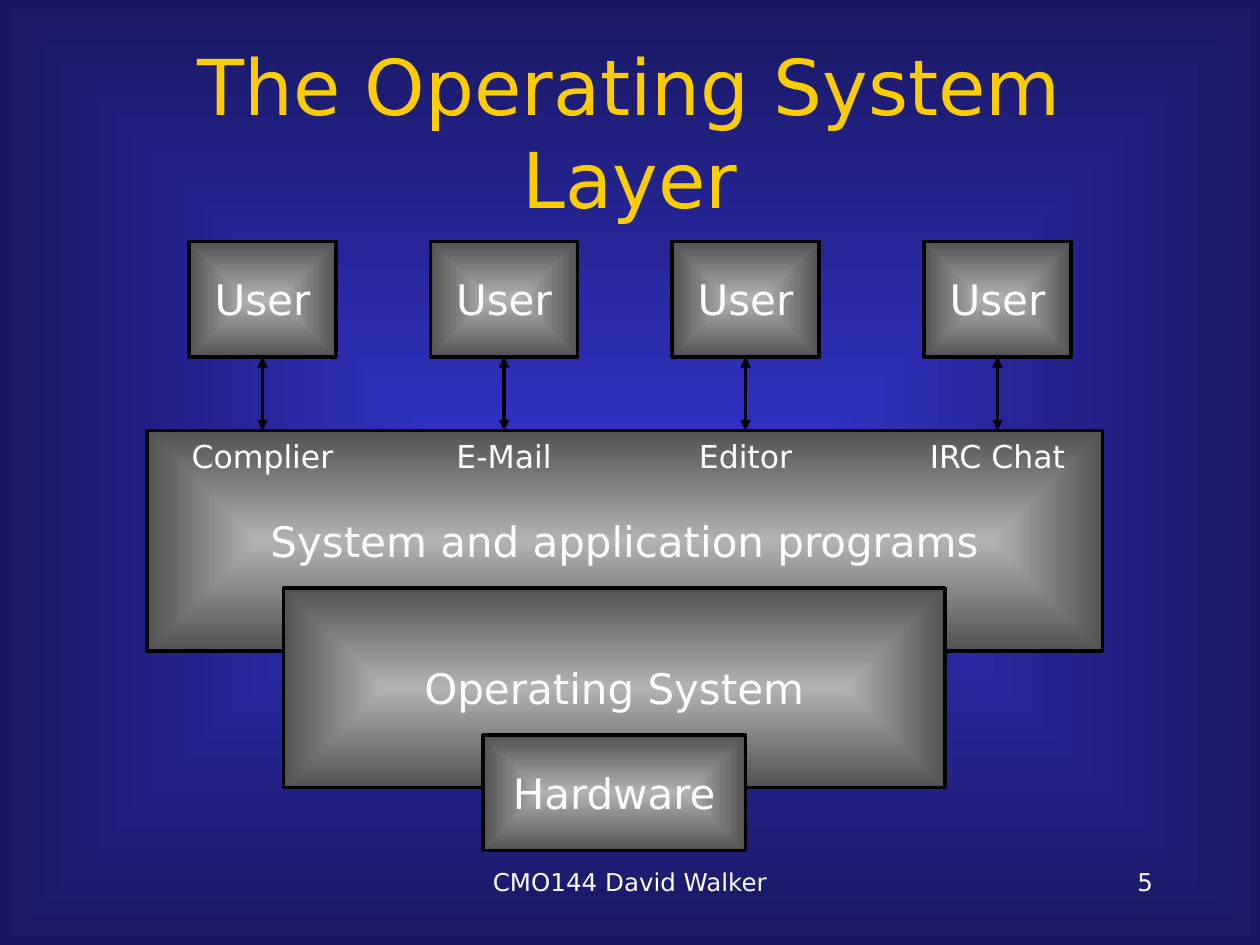
"""Builds a slide showing the layers between users and hardware."""
from pptx import Presentation
from pptx.dml.color import RGBColor
from pptx.enum.shapes import MSO_CONNECTOR, MSO_SHAPE
from pptx.enum.text import MSO_ANCHOR, MSO_AUTO_SIZE, PP_ALIGN
from pptx.oxml.ns import qn
from pptx.util import Inches, Pt
from lxml import etree

RECT = MSO_SHAPE.RECTANGLE
STRAIGHT = MSO_CONNECTOR.STRAIGHT
TOP, MIDDLE = MSO_ANCHOR.TOP, MSO_ANCHOR.MIDDLE
CENTER, RIGHT = PP_ALIGN.CENTER, PP_ALIGN.RIGHT
NO_FIT = MSO_AUTO_SIZE.NONE


class Theme:
    font = "DejaVu Sans"
    gold = RGBColor.from_string("FFCC00")
    white = RGBColor.from_string("FFFFFF")
    black = RGBColor.from_string("000000")
    blues = ("3333CC", "181862")
    grays = ("B2B2B2", "525252")
    title, box, label, foot = Pt(44), Pt(24), Pt(18), Pt(14)
    line = Pt(2)


def glow(fill, node, shades):
    fill.gradient()
    for stop, place, shade in zip(fill.gradient_stops, (0, 1), shades):
        stop.position = place
        stop.color.rgb = RGBColor.from_string(shade)
    grad = next(node.iter(qn("a:gradFill")))
    grad.remove(grad.find(qn("a:lin")))
    path = etree.SubElement(grad, qn("a:path"), path="rect")
    etree.SubElement(path, qn("a:fillToRect"), l="50000", t="50000", r="50000", b="50000")


def write(shape, text, size, color=Theme.white, align=CENTER, anchor=TOP, wrap=True):
    frame = shape.text_frame
    frame.auto_size = NO_FIT
    frame.word_wrap = wrap
    frame.vertical_anchor = anchor
    para = frame.paragraphs[0]
    para.alignment = align
    run = para.add_run()
    run.text = text
    run.font.name, run.font.size = Theme.font, size
    run.font.color.rgb = color


deck = Presentation()
deck.slide_width, deck.slide_height = Inches(10), Inches(7.5)
col, row = deck.slide_width // 120, deck.slide_height // 90

slide = deck.slides.add_slide(deck.slide_layouts[5])
shapes = slide.shapes
glow(slide.background.fill, slide.element, Theme.blues)

title = shapes.title
title.left, title.top, title.width, title.height = 9 * col, 5 * row, 102 * col, 15 * row
write(title, "The Operating System Layer", Theme.title, Theme.gold, anchor=MIDDLE)

apps = [("Complier", 25), ("E-Mail", 48), ("Editor", 71), ("IRC Chat", 95)]
deep = 41
boxes = [
    ("System and application programs", 14, deep, 91, 21),
    ("Operating System", 27, 56, 63, 19),
    ("Hardware", 46, 70, 25, 11),
] + [("User", mid - 7, 23, 14, 11) for app, mid in apps]

users = []
for text, x, y, w, h in boxes:
    box = shapes.add_shape(RECT, x * col, y * row, w * col, h * row)
    box.shadow.inherit = False
    glow(box.fill, box.element, Theme.grays)
    box.line.color.rgb, box.line.width = Theme.black, Theme.line
    write(box, text, Theme.box, anchor=MIDDLE, wrap=False)
    if text == "User":
        users.append(box)

for (app, mid), user in zip(apps, users):
    label = shapes.add_textbox((mid - 8) * col, deep * row, 16 * col, 5 * row)
    write(label, app, Theme.label)
    arrow = shapes.add_connector(STRAIGHT, mid * col, 34 * row, mid * col, deep * row)
    arrow.begin_connect(user, 2)
    arrow.line.color.rgb, arrow.line.width = Theme.black, Theme.line
    for end in ("a:headEnd", "a:tailEnd"):
        etree.SubElement(arrow.line._get_or_add_ln(), qn(end), type="triangle")
    etree.SubElement(arrow.element.spPr, qn("a:effectLst"))

for text, x, w, align in [("CMO144 David Walker", 41, 38, CENTER), ("5", 86, 25, RIGHT)]:
    foot = shapes.add_textbox(x * col, 82 * row, w * col, 6 * row)
    write(foot, text, Theme.foot, align=align)

deck.save("out.pptx")
